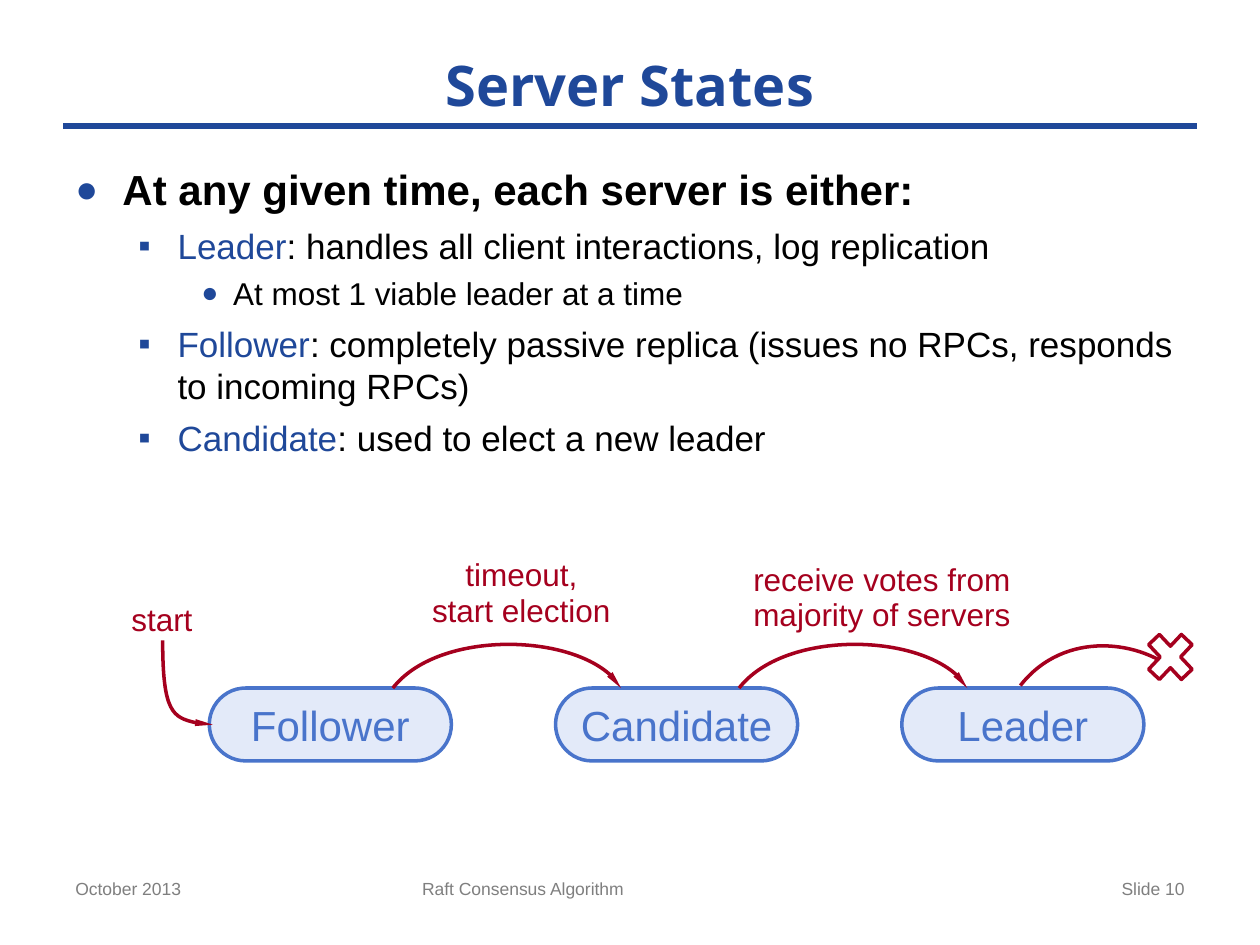
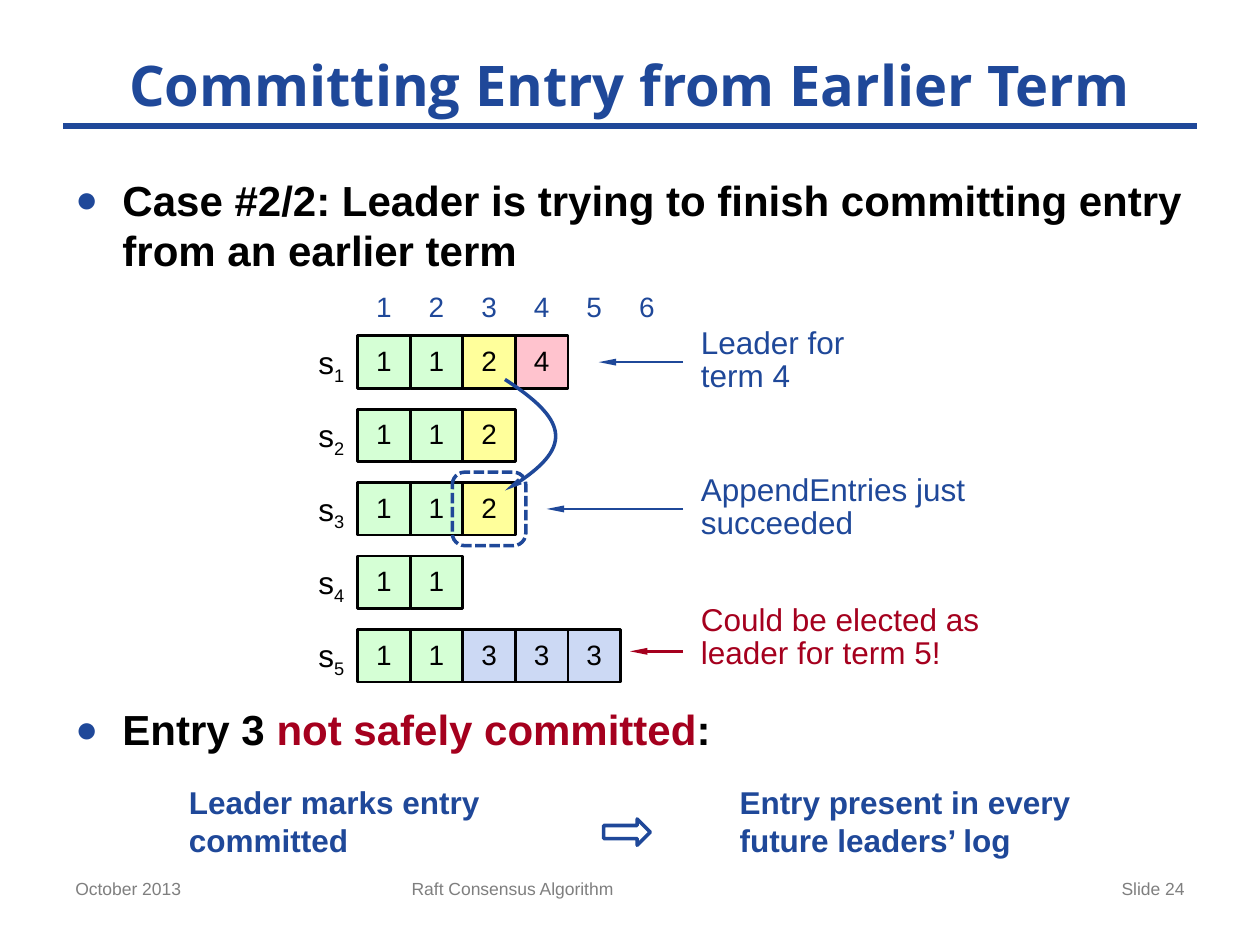
from lxml.etree import SubElement
from pptx import Presentation
from pptx.dml.color import RGBColor
from pptx.enum.dml import MSO_LINE_DASH_STYLE as Dash
from pptx.enum.shapes import MSO_CONNECTOR_TYPE as Connector, MSO_SHAPE as Shape
from pptx.enum.text import MSO_ANCHOR as Anchor, PP_ALIGN as Align
from pptx.oxml.ns import qn
from pptx.util import Cm, Pt

BLUE = RGBColor(0x1F, 0x48, 0x99)
RED = RGBColor(0xA5, 0x00, 0x1E)
BLACK = RGBColor(0x00, 0x00, 0x00)
WHITE = RGBColor(0xFF, 0xFF, 0xFF)
GREY = RGBColor(0x7F, 0x7F, 0x7F)
STATE_FILL = RGBColor(0xE3, 0xEA, 0xF9)
STATE_LINE = RGBColor(0x49, 0x74, 0xCB)
TERM_FILLS = {1: RGBColor(0xD5, 0xFF, 0xD5), 2: RGBColor(0xFF, 0xFF, 0x9B),
              3: RGBColor(0xCC, 0xD9, 0xF4), 4: RGBColor(0xFF, 0xC3, 0xCE)}

# Per outline level: size, bold, left margin, hanging indent, space before, bullet, bullet size
LEVELS = [(24, True, 0.95, 0.95, 12, "●", 90),
          (20, False, 2.06, 0.79, 6, "▪", 100),
          (18, False, 3.18, 0.64, 4, "●", 90)]


# ---- Shared helpers: boxes are (left, top, width, height) in centimetres ----

def write(para, *spans, size=18, color=BLACK, bold=False, font="Arial",
          align=Align.LEFT, spacing=None):
    """Fill a paragraph; a span is a text or a (text, colour) pair."""
    para.alignment = align
    if spacing:
        para.line_spacing = Pt(spacing)
    for item in spans:
        text, tint = (item, color) if isinstance(item, str) else item
        for number, line in enumerate(text.split("\n")):
            if number:
                para.add_line_break()
            span = para.add_run()
            span.text = line
            span.font.size, span.font.bold, span.font.name = Pt(size), bold, font
            span.font.color.rgb = tint


def set_frame(frame, wrap=True, anchor=Anchor.TOP, inset=True):
    frame.word_wrap = wrap
    frame.vertical_anchor = anchor
    if not inset:
        frame.margin_left = frame.margin_right = 0
        frame.margin_top = frame.margin_bottom = 0
    return frame


def add_text(page, box, *spans, wrap=True, anchor=Anchor.TOP, inset=True, **style):
    frame = page.shapes.add_textbox(*map(Cm, box)).text_frame
    set_frame(frame, wrap, anchor, inset)
    write(frame.paragraphs[0], *spans, **style)
    return frame


def add_block(page, kind, box, line, width=2, fill=None):
    block = page.shapes.add_shape(kind, *map(Cm, box))
    block.shadow.inherit = False
    if fill is None:
        block.fill.background()
    else:
        block.fill.solid()
        block.fill.fore_color.rgb = fill
    block.line.color.rgb, block.line.width = line, Pt(width)
    return block


def style_line(shape, color, width, arrow):
    shape.line.color.rgb, shape.line.width = color, Pt(width)
    if arrow:
        SubElement(shape.line._get_or_add_ln(), qn("a:tailEnd"),
                   type="triangle", w="sm", len="lg")


def add_line(page, start, end, color, width, arrow=False):
    line = page.shapes.add_connector(Connector.STRAIGHT, *map(Cm, start + end))
    style_line(line, color, width, arrow)
    SubElement(line._element.spPr, qn("a:effectLst"))


def add_curve(page, origin, points, color, arrow=True):
    """Draw one cubic curve; its four points are relative to the origin."""
    points = [(Cm(origin[0] + x), Cm(origin[1] + y)) for x, y in points]

    def at(t):
        weights = ((1 - t) ** 3, 3 * t * (1 - t) ** 2, 3 * t * t * (1 - t), t ** 3)
        return tuple(round(sum(w * p[axis] for w, p in zip(weights, points)))
                     for axis in (0, 1))

    # Points along the curve give the frame, then one true curve replaces them
    builder = page.shapes.build_freeform(*points[0])
    builder.add_line_segments([at(step / 20) for step in range(1, 21)], close=False)
    curve = builder.convert_to_shape()
    curve.shadow.inherit = False
    curve.fill.background()
    outline = curve._element.xpath(".//a:path")[0]
    for segment in outline.findall(qn("a:lnTo")):
        outline.remove(segment)
    bezier = SubElement(outline, qn("a:cubicBezTo"))
    for x, y in points[1:]:
        SubElement(bezier, qn("a:pt"), x=str(x - curve.left), y=str(y - curve.top))
    style_line(curve, color, 2, arrow)


def add_outline(page, box, items):
    """Bulleted text; an item is (level, spans, space before or None)."""
    frame = set_frame(page.shapes.add_textbox(*map(Cm, box)).text_frame)
    for number, (level, spans, gap) in enumerate(items):
        para = frame.add_paragraph() if number else frame.paragraphs[0]
        size, bold, margin, hanging, before, bullet, percent = LEVELS[level]
        write(para, *spans, size=size, bold=bold)
        para.level = level
        para.space_before = Pt(gap or before)
        props = para._p.get_or_add_pPr()
        props.set("marL", str(Cm(margin)))
        props.set("indent", str(-Cm(hanging)))
        tint = SubElement(props, qn("a:buClr"))
        SubElement(tint, qn("a:srgbClr"), val=str(BLUE))
        SubElement(props, qn("a:buSzPct"), val=str(percent * 1000))
        SubElement(props, qn("a:buFont"), typeface="Arial")
        SubElement(props, qn("a:buChar"), char=bullet)


def add_page(deck, title, number, footer_left):
    """A page with the shared title, rule and footers."""
    page = deck.slides.add_slide(deck.slide_layouts[6])
    add_line(page, (1.27, 2.54), (24.13, 2.54), BLUE, 4)
    add_text(page, (0.85, 0.85, 23.7, 1.69), title, size=32, color=BLUE, bold=True,
             font="Open Sans", align=Align.CENTER, anchor=Anchor.MIDDLE)
    for left, width, text, align in (
            (1.27, 5.93, "October 2013", Align.LEFT),
            (footer_left, 9.53, "Raft Consensus Algorithm", Align.LEFT),
            (18.2, 5.93, f"Slide {number}", Align.RIGHT)):
        add_text(page, (left, 17.57, width, 1.09), text,
                 size=10, color=GREY, align=align)
    return page


# ---- Regions ----

def add_state_diagram(page, left, top):
    label = dict(color=RED, align=Align.CENTER, wrap=False)

    # Three states at equal steps
    states = [(left + 1.83 + 6.98 * i, top + 2.74) for i in range(3)]
    for origin, name in zip(states, ("Follower", "Candidate", "Leader")):
        state = add_block(page, Shape.ROUNDED_RECTANGLE, origin + (4.88, 1.47),
                          STATE_LINE, fill=STATE_FILL)
        state.adjustments[0] = 0.5
        frame = set_frame(state.text_frame, anchor=Anchor.MIDDLE)
        write(frame.paragraphs[0], name, size=24, color=STATE_LINE, align=Align.CENTER)

    # Entry into the first state
    add_text(page, (left, top + 0.84, 1.75, 1.02), "start", **label)
    add_curve(page, (left, top),
              [(0.89, 1.78), (0.89, 3.23), (1.19, 3.45), (1.9, 3.48)], RED)

    # Transitions to the next state
    transitions = [("timeout,\nstart election", 4.22, -2.74, 4.14),
                   ("receive votes from\nmajority of servers", 3.71, -2.64, 5.74)]
    for (x, y), (text, dx, dy, width) in zip(states, transitions):
        add_curve(page, (x, y),
                  [(3.7, 0), (4.59, -1.14), (7.66, -1.12), (8.3, 0)], RED)
        add_text(page, (x + dx, y + dy, width, 1.68), text, spacing=20, **label)

    # The leader's way out ends at a cross
    x, y = states[-1]
    add_curve(page, (x, y), [(2.39, -0.05), (3.28, -1.19), (4.85, -0.97),
                             (5.59, -0.28)], RED, arrow=False)
    add_block(page, Shape.MATH_MULTIPLY, (x + 4.78, y - 1.3, 1.27, 1.35),
              RED, fill=WHITE)


def add_logs(page, left, top):
    cell, pitch = 1.06, 1.48
    logs = [(1, 1, 2, 4), (1, 1, 2), (1, 1, 2), (1, 1), (1, 1, 3, 3, 3)]

    # Index headings
    for index in range(1, 7):
        add_text(page, (left + index * cell, top, cell, 0.94), str(index),
                 size=16, color=BLUE, align=Align.CENTER)

    # One row for each server: its name, then the terms of its entries
    for row, terms in enumerate(logs):
        y = top + cell + row * pitch
        frame = add_text(page, (left, y + 0.14, cell, 0.76), "s", str(row + 1),
                         align=Align.CENTER, inset=False)
        frame.paragraphs[0].runs[1].font._element.set("baseline", "-25000")
        for index, term in enumerate(terms, 1):
            entry = add_block(page, Shape.RECTANGLE, (left + index * cell, y, cell, cell),
                              BLACK, 1.5, TERM_FILLS[term])
            frame = set_frame(entry.text_frame, anchor=Anchor.MIDDLE, inset=False)
            write(frame.paragraphs[0], str(term), size=16, align=Align.CENTER, spacing=17)

    # Replication of entry 3 from the first server to the third
    x, y = left + 3 * cell, top + cell
    target = add_block(page, Shape.ROUNDED_RECTANGLE,
                       (x - 0.21, y + 2 * pitch - 0.21, pitch, pitch), BLUE)
    target.line.dash_style = Dash.SQUARE_DOT
    add_curve(page, (x, y), [(0.85, 0.88), (2.09, 1.68), (2.25, 2.31), (0.85, 3.12)], BLUE)

    # Notes, each with an arrow to its row
    for text, text_y, arrow_y, tip, color in (
            ("Leader for\nterm 4", 0.89, 1.59, 5.92, BLUE),
            ("AppendEntries just\nsucceeded", 3.86, 4.55, 4.87, BLUE),
            ("Could be elected as\nleader for term 5!", 6.48, 7.42, 6.55, RED)):
        add_text(page, (left + 7.98, top + text_y, 7.04, 1.35), text,
                 color=color, spacing=19, inset=False)
        add_line(page, (left + 7.62, top + arrow_y), (left + tip, top + arrow_y),
                 color, 1.5, arrow=True)


def add_implication(page, left, top):
    for dx, width, lines in (
            (0, 6.43, ("Leader marks entry", "committed")),
            (11.1, 7.24, ("Entry present in every", "future leaders’ log"))):
        style = dict(color=BLUE, bold=True)
        frame = add_text(page, (left + dx, top, width, 1.8), lines[0], wrap=False, **style)
        write(frame.add_paragraph(), lines[1], **style)
    add_block(page, Shape.RIGHT_ARROW, (left + 8.61, top + 0.84, 0.94, 0.53),
              BLUE, fill=WHITE)


# ---- Pages ----

def build_states_page(deck):
    page = add_page(deck, "Server States", 10, 8.26)
    add_outline(page, (1.27, 3.18, 22.86, 8.89), [
        (0, ["At any given time, each server is either:"], None),
        (1, [("Leader", BLUE), ": handles all client interactions, log replication"], None),
        (2, ["At most 1 viable leader at a time"], None),
        (1, [("Follower", BLUE), ": completely passive replica (issues no RPCs, "
             "responds to incoming RPCs)"], None),
        (1, [("Candidate", BLUE), ": used to elect a new leader"], None)])
    add_state_diagram(page, 2.39, 11.13)


def build_commit_page(deck):
    page = add_page(deck, "Committing Entry from Earlier Term", 24, 8.05)
    add_outline(page, (1.27, 3.39, 22.86, 13.64), [
        (0, ["Case #2/2: Leader is trying to finish committing entry "
             "from an earlier term"], None),
        (0, ["Entry 3 ", ("not safely committed", RED), ":"], 245)])
    add_logs(page, 6.15, 5.71)
    add_implication(page, 3.56, 15.67)


deck = Presentation()
deck.slide_width, deck.slide_height = Cm(25.4), Cm(19.05)
build_states_page(deck)
build_commit_page(deck)
deck.save("out.pptx")
